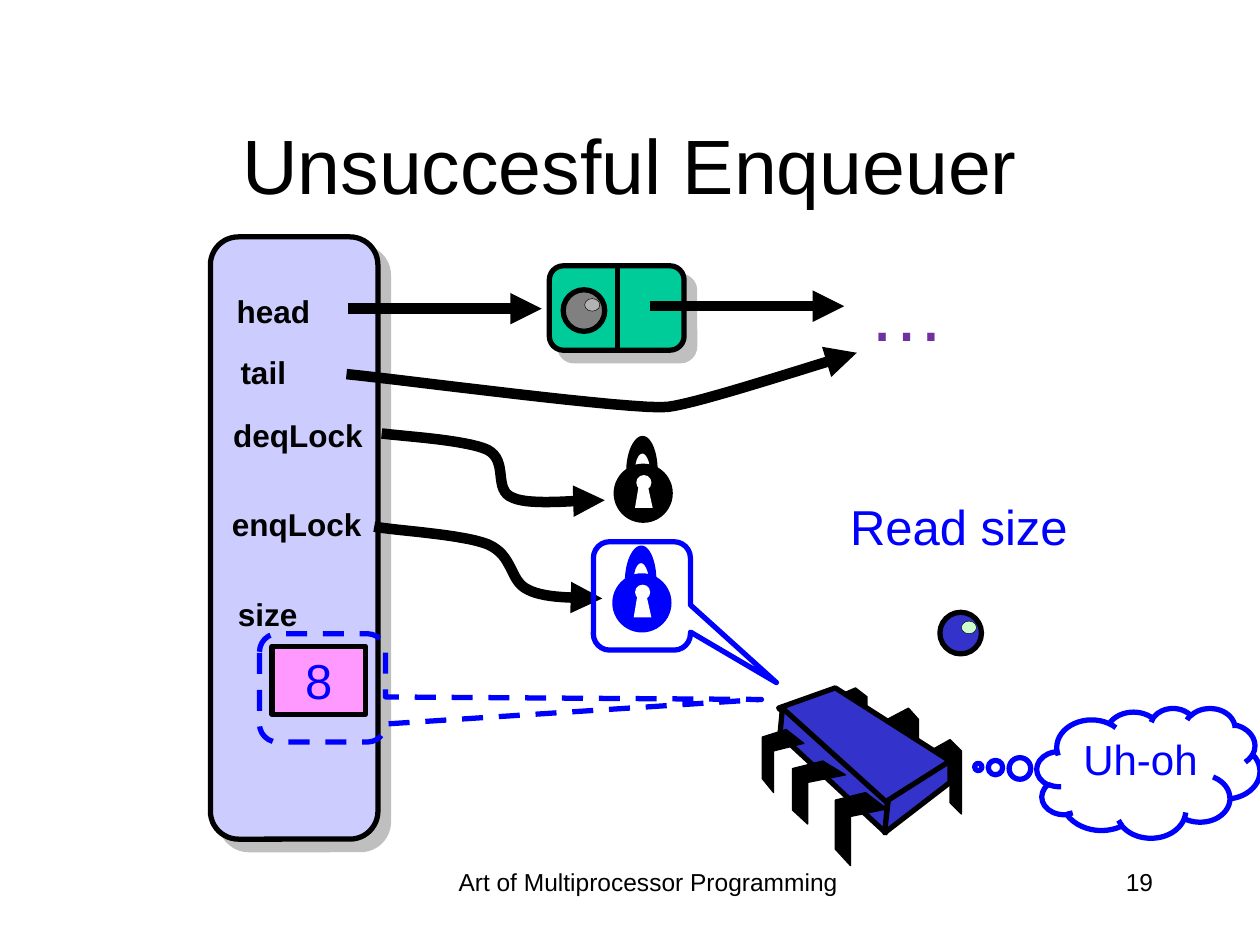
"""Build the "Unsuccesful Enqueuer" slide of a bounded lock-based queue."""
from dataclasses import dataclass
from typing import Optional

from lxml.etree import SubElement
from pptx import Presentation
from pptx.dml.color import RGBColor
from pptx.enum.dml import MSO_LINE_DASH_STYLE as Dash
from pptx.enum.shapes import MSO_CONNECTOR as Connector, MSO_SHAPE as Preset
from pptx.enum.text import MSO_ANCHOR as Anchor, MSO_AUTO_SIZE as AutoSize, PP_ALIGN as Align
from pptx.oxml.ns import qn
from pptx.util import Inches, Pt

COLOURS = {
    "black": "000000", "white": "FFFFFF", "blue": "0000FF", "panel": "CCCCFF",
    "node": "00CC99", "counter": "FF99FF", "chip": "3333CC", "grey": "808080",
    "grey_glint": "B2B2B2", "green_glint": "CCFFCC", "purple": "7030A0",
}
CURVE_STEPS = 16


@dataclass(frozen=True)
class Paint:
    fill: Optional[str] = None
    line: Optional[str] = "black"
    width: float = 3
    dashed: bool = False
    shadow: bool = False
    arrow: bool = False


@dataclass(frozen=True)
class Label:
    text: str
    box: tuple
    size: float = 18
    colour: str = "black"
    bold: bool = False
    align: Align = Align.CENTER
    anchor: Anchor = Anchor.TOP
    wrap: bool = False
    auto_size: AutoSize = AutoSize.SHAPE_TO_FIT_TEXT


@dataclass(frozen=True)
class Outline:
    steps: tuple
    paint: Paint


ARROW = Paint(width=6, arrow=True)
LEG = Paint(fill="black", width=0.75)
CHIP = Paint(fill="chip")

FIELDS = [
    Label("head", (1.74, 2.27, 0.86, 0.4), bold=True),
    Label("tail", (1.81, 2.75, 0.56, 0.4), bold=True),
    Label("deqLock", (1.75, 3.25, 1.23, 0.4), bold=True),
    Label("enqLock", (1.74, 3.96, 1.23, 0.4), bold=True),
    Label("size", (1.79, 4.67, 0.67, 0.4), bold=True),
]
FIXED = {"wrap": True, "auto_size": AutoSize.NONE}
CAPTIONS = [
    Label("Art of Multiprocessor Programming", (3.42, 6.83, 3.45, 0.5), 14, **FIXED),
    Label("19", (7.17, 6.83, 2.08, 0.5), 14, align=Align.RIGHT, **FIXED),
    Label("Unsuccesful Enqueuer", (0.75, 0.67, 8.5, 1.25), 44, anchor=Anchor.MIDDLE, **FIXED),
    Label("Read size", (5.76, 3.89, 3.7, 0.57), 28, "blue", wrap=True),
    Label("…", (6.79, 2.05, 0.81, 0.84), 44, "purple", align=Align.RIGHT),
]

POINTERS = [
    ((2.75, 2.97), (3.17, 3.01, 5.04, 3.26, 5.3, 3.23), (5.55, 3.2, 6.49, 2.89, 6.8, 2.8)),
    ((3.03, 3.44), (3.17, 3.46, 3.7, 3.49, 3.87, 3.57),
     (4.04, 3.66, 3.91, 3.89, 4.07, 3.95), (4.22, 4.02, 4.65, 3.96, 4.8, 3.97)),
    ((2.97, 4.18), (3.12, 4.21, 3.67, 4.24, 3.87, 4.32),
     (4.08, 4.41, 4.04, 4.61, 4.19, 4.68), (4.34, 4.76, 4.65, 4.74, 4.78, 4.75)),
]

KEYHOLE = ((0.17, 0.57), (0.2, 0.39), (0.27, 0.39), (0.31, 0.57))
SHACKLE = ((0.17, 0.28), (0.17, 0.21, 0.19, 0.14, 0.23, 0.14), (0.26, 0.14, 0.29, 0.21, 0.29, 0.28),
           (0.35, 0.28), (0.35, 0.13, 0.3, 0, 0.23, 0), (0.16, 0, 0.1, 0.13, 0.1, 0.28))

PROCESSOR = [
    Outline(((7.38, 5.96), (7.54, 5.87), (7.63, 5.96), (7.63, 6.46), (7.54, 6.37),
             (7.54, 6.04), (7.38, 6.12)), LEG),
    Outline(((7.04, 5.71), (7.21, 5.62), (7.29, 5.71), (7.29, 6.21), (7.21, 6.12),
             (7.21, 5.79), (7.04, 5.87)), LEG),
    Outline(((6.63, 5.53), (6.79, 5.46), (6.88, 5.53), (6.88, 5.96), (6.79, 5.88),
             (6.79, 5.6), (6.63, 5.67)), LEG),
    Outline(((6.63, 5.46), (7.54, 6.04), (7.03, 6.39), (6.18, 5.62)), CHIP),
    Outline(((6.21, 5.62), (7.04, 6.37), (7.03, 6.61), (6.19, 5.83)), CHIP),
    Outline(((7.54, 6.04), (7.54, 6.21), (7.02, 6.61), (7.05, 6.35)), CHIP),
    Outline(((6.87, 6.29), (7.04, 6.42), (6.75, 6.48), (6.75, 6.87), (6.63, 6.74),
             (6.63, 6.35)), LEG),
    Outline(((6.53, 6.04), (6.71, 6.15), (6.41, 6.21), (6.41, 6.54), (6.29, 6.43),
             (6.29, 6.1)), LEG),
    Outline(((6.24, 5.79), (6.38, 5.9), (6.14, 5.96), (6.14, 6.29), (6.05, 6.18),
             (6.05, 5.85)), LEG),
]


def rgb(colour: str) -> RGBColor:
    return RGBColor.from_string(COLOURS[colour])


def apply_formats(target, formats: dict) -> None:
    for attribute, value in formats.items():
        setattr(target, attribute, value)


def stroke(shape, paint: Paint) -> None:
    if paint.line is None:
        shape.line.fill.background()
        return
    shape.line.color.rgb = rgb(paint.line)
    shape.line.width = Pt(paint.width)
    if paint.dashed:
        shape.line.dash_style = Dash.DASH
    if paint.arrow:
        SubElement(shape.element.spPr.find(qn("a:ln")), qn("a:tailEnd"), type="triangle")


def decorate(shape, paint: Paint) -> None:
    shape.shadow.inherit = False
    if paint.fill:
        shape.fill.solid()
        shape.fill.fore_color.rgb = rgb(paint.fill)
    else:
        shape.fill.background()
    stroke(shape, paint)
    if paint.shadow:
        cast = SubElement(shape.element.spPr.find(qn("a:effectLst")), qn("a:outerShdw"),
                          dist=str(Pt(8.5)), dir="2700000", algn="ctr", rotWithShape="0")
        tint = SubElement(cast, qn("a:srgbClr"), val=COLOURS["grey"])
        SubElement(tint, qn("a:alpha"), val="50000")


def write(shape, label: Label) -> None:
    frame = shape.text_frame
    apply_formats(frame, {
        "text": label.text, "word_wrap": label.wrap, "auto_size": label.auto_size,
        "vertical_anchor": label.anchor, "margin_left": Inches(0.1), "margin_right": Inches(0.1),
        "margin_top": Inches(0.05), "margin_bottom": Inches(0.05)})
    paragraph = frame.paragraphs[0]
    paragraph.alignment = label.align
    apply_formats(paragraph.font, {"name": "Arial", "size": Pt(label.size), "bold": label.bold})
    paragraph.font.color.rgb = rgb(label.colour)


def add_label(slide, label: Label) -> None:
    write(slide.shapes.add_textbox(*map(Inches, label.box)), label)


def add_preset(slide, preset: Preset, box: tuple, paint: Paint, adjustments: tuple = ()):
    shape = slide.shapes.add_shape(preset, *map(Inches, box))
    for index, value in enumerate(adjustments):
        shape.adjustments[index] = value
    decorate(shape, paint)
    return shape


def add_line(slide, start: tuple, end: tuple, paint: Paint) -> None:
    line = slide.shapes.add_connector(Connector.STRAIGHT, *map(Inches, start + end))
    SubElement(line.element.spPr, qn("a:effectLst"))
    stroke(line, paint)


def trace(steps: tuple) -> list:
    points = [steps[0]]
    for step in steps[1:]:
        if len(step) == 2:
            points.append(step)
            continue
        knots = (points[-1], step[:2], step[2:4], step[4:])
        for part in range(1, CURVE_STEPS + 1):
            t = part / CURVE_STEPS
            weights = ((1 - t) ** 3, 3 * t * (1 - t) ** 2, 3 * t * t * (1 - t), t ** 3)
            points.append(tuple(sum(w * k[axis] for w, k in zip(weights, knots)) for axis in (0, 1)))
    return points


def add_outline(slide, outline: Outline, left: float = 0, top: float = 0) -> None:
    start, *rest = [(Inches(left + x), Inches(top + y)) for x, y in trace(outline.steps)]
    builder = slide.shapes.build_freeform(*start)
    builder.add_line_segments(rest, close=outline.paint.fill is not None)
    decorate(builder.convert_to_shape(), outline.paint)


def add_lock(slide, left: float, top: float, colour: str) -> None:
    body, hole = Paint(colour, None), Paint("white", None)
    add_preset(slide, Preset.OVAL, (left, top + 0.22, 0.47, 0.47), body)
    add_preset(slide, Preset.OVAL, (left + 0.18, top + 0.31, 0.12, 0.12), hole)
    add_outline(slide, Outline(KEYHOLE, hole), left, top)
    add_outline(slide, Outline(SHACKLE, body), left, top)


def add_item(slide, left: float, top: float, colour: str, glint: str) -> None:
    add_preset(slide, Preset.OVAL, (left, top, 0.33, 0.33), Paint(colour))
    add_preset(slide, Preset.OVAL, (left + 0.17, top + 0.07, 0.12, 0.1), Paint(glint, width=0.25))


def main() -> None:
    deck = Presentation()
    deck.slide_width, deck.slide_height = Inches(10), Inches(7.5)
    slide = deck.slides.add_slide(deck.slide_layouts[6])
    for box, colour in (((1.67, 1.88, 1.33, 4.78), "panel"), ((4.36, 2.11, 1.07, 0.67), "node")):
        add_preset(slide, Preset.ROUNDED_RECTANGLE, box, Paint(colour, shadow=True), (0.167,))
    add_line(slide, (4.9, 2.11), (4.9, 2.78), Paint())
    add_item(slide, 4.47, 2.3, "grey", "grey_glint")
    for left, top in ((2.76, 2.45), (5.16, 2.43)):
        add_line(slide, (left, top), (left + 1.54, top), ARROW)
    for steps in POINTERS:
        add_outline(slide, Outline(steps, ARROW))
    for label in CAPTIONS + FIELDS:
        add_label(slide, label)
    add_lock(slide, 4.87, 3.46, "black")
    add_lock(slide, 4.86, 4.33, "blue")
    add_preset(slide, Preset.ROUNDED_RECTANGULAR_CALLOUT, (4.71, 4.3, 0.77, 0.86),
               Paint(line="blue"), (1.387, 0.8, 0.167))
    counter_box = (2.16, 5.13, 0.74, 0.54)
    counter = add_preset(slide, Preset.RECTANGLE, counter_box, Paint("counter"))
    write(counter, Label("8", counter_box, 28, "blue", anchor=Anchor.MIDDLE,
                         auto_size=AutoSize.NONE))
    add_preset(slide, Preset.ROUNDED_RECTANGULAR_CALLOUT, (2.06, 5.03, 1, 0.86),
               Paint(line="blue", dashed=True), (3.484, 0.107, 0.167))
    thought_box = (8.23, 5.62, 1.77, 1.03)
    thought = add_preset(slide, Preset.CLOUD_CALLOUT, thought_box, Paint(line="blue"),
                         (-0.763, -0.046))
    write(thought, Label("Uh-oh", thought_box, 24, "blue", **FIXED))
    add_item(slide, 7.46, 4.86, "chip", "green_glint")
    for part in PROCESSOR:
        add_outline(slide, part)
    deck.save("out.pptx")


if __name__ == "__main__":
    main()
